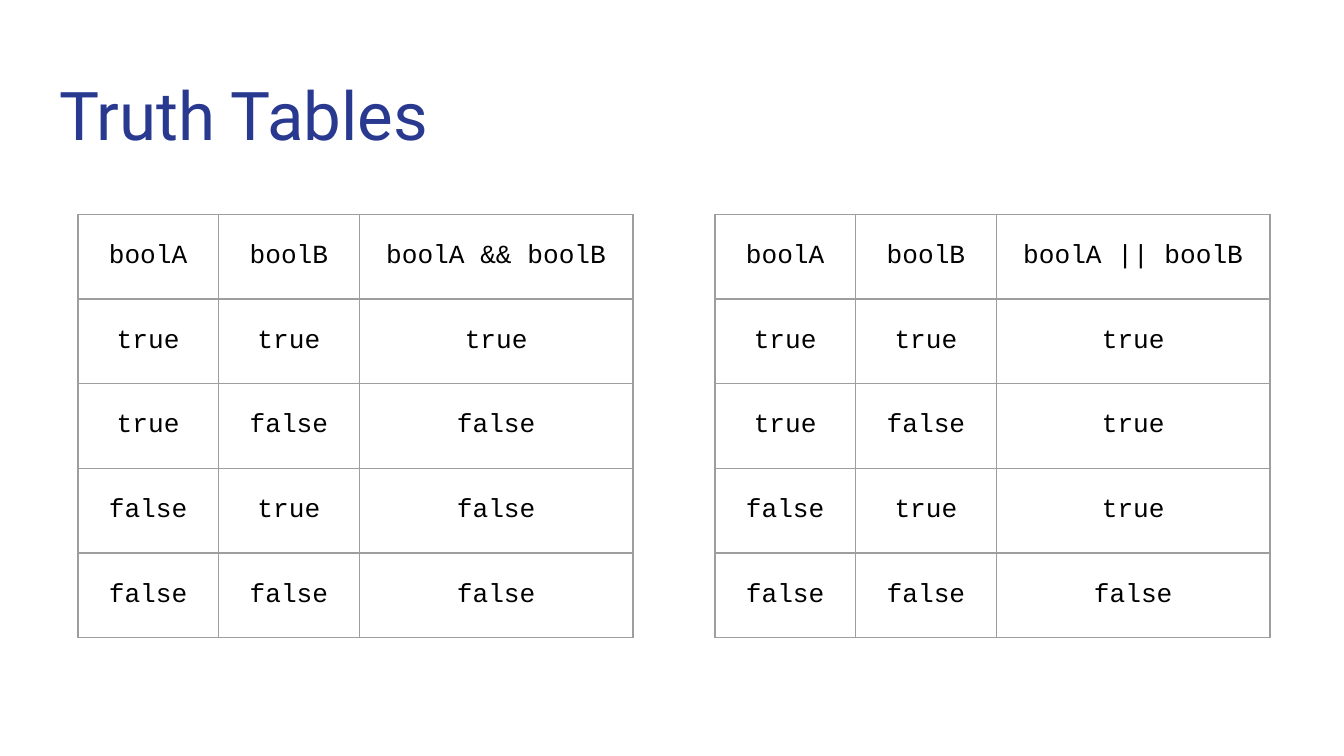
from dataclasses import dataclass
from itertools import product
from typing import Callable

from lxml.etree import SubElement
from pptx import Presentation
from pptx.dml.color import RGBColor
from pptx.enum.text import MSO_ANCHOR, PP_ALIGN
from pptx.oxml.ns import qn
from pptx.util import Emu, Pt

SCALE = 4572
INK = "000000"
BLUE = "2A3990"
GRAY = "9E9E9E"
PAD = 20
COLS = (209, 210, 407)
ROW = 126
TOP = 319


@dataclass(frozen=True)
class Truth:
    left: int
    sign: str
    rule: Callable[[bool, bool], bool]


TABLES = (
    Truth(116, "&&", lambda a, b: a and b),
    Truth(1064, "||", lambda a, b: a or b),
)


def px(size: int) -> Emu:
    return Emu(size * SCALE)


def color(code: str) -> RGBColor:
    return RGBColor.from_string(code)


def style(para, face: str, size: int, code: str, align) -> None:
    para.font.name = face
    para.font.size = Pt(size)
    para.font.color.rgb = color(code)
    para.alignment = align


def pad(item) -> None:
    item.margin_left = item.margin_right = px(PAD)
    item.margin_top = item.margin_bottom = px(PAD)


def border(cell) -> None:
    props = cell._tc.get_or_add_tcPr()
    for spot, side in enumerate(("lnL", "lnR", "lnT", "lnB")):
        line = SubElement(props, qn(f"a:{side}"), w=str(Pt(0.75)))
        fill = SubElement(line, qn("a:solidFill"))
        SubElement(fill, qn("a:srgbClr"), val=GRAY)
        props.insert(spot, line)


def cells(truth: Truth) -> list[tuple[str, ...]]:
    rows = [("boolA", "boolB", f"boolA {truth.sign} boolB")]
    for a, b in product((True, False), repeat=2):
        rows.append(tuple(str(v).lower() for v in (a, b, truth.rule(a, b))))
    return rows


def draw(slide, truth: Truth) -> None:
    rows = cells(truth)
    frame = slide.shapes.add_table(
        len(rows), len(COLS), px(truth.left), px(TOP),
        px(sum(COLS)), px(ROW * len(rows)))
    table = frame.table
    table.first_row = table.horz_banding = False
    for col, width in zip(table.columns, COLS):
        col.width = px(width)
    for r, row in enumerate(rows):
        for c, text in enumerate(row):
            cell = table.cell(r, c)
            cell.text = text
            cell.fill.background()
            cell.vertical_anchor = MSO_ANCHOR.MIDDLE
            pad(cell)
            border(cell)
            style(cell.text_frame.paragraphs[0], "Courier New", 14, INK,
                  PP_ALIGN.CENTER)


def head(slide) -> None:
    title = slide.shapes.title
    title.left, title.top = px(68), px(89)
    title.width, title.height = px(1864), px(132)
    frame = title.text_frame
    frame.text = "Truth Tables"
    frame.vertical_anchor = MSO_ANCHOR.TOP
    frame.word_wrap = True
    pad(frame)
    style(frame.paragraphs[0], "Roboto", 36, BLUE, PP_ALIGN.LEFT)


def main() -> None:
    deck = Presentation()
    deck.slide_width, deck.slide_height = px(2000), px(1125)
    slide = deck.slides.add_slide(deck.slide_layouts[5])
    head(slide)
    for truth in TABLES:
        draw(slide, truth)
    deck.save("out.pptx")


if __name__ == "__main__":
    main()
